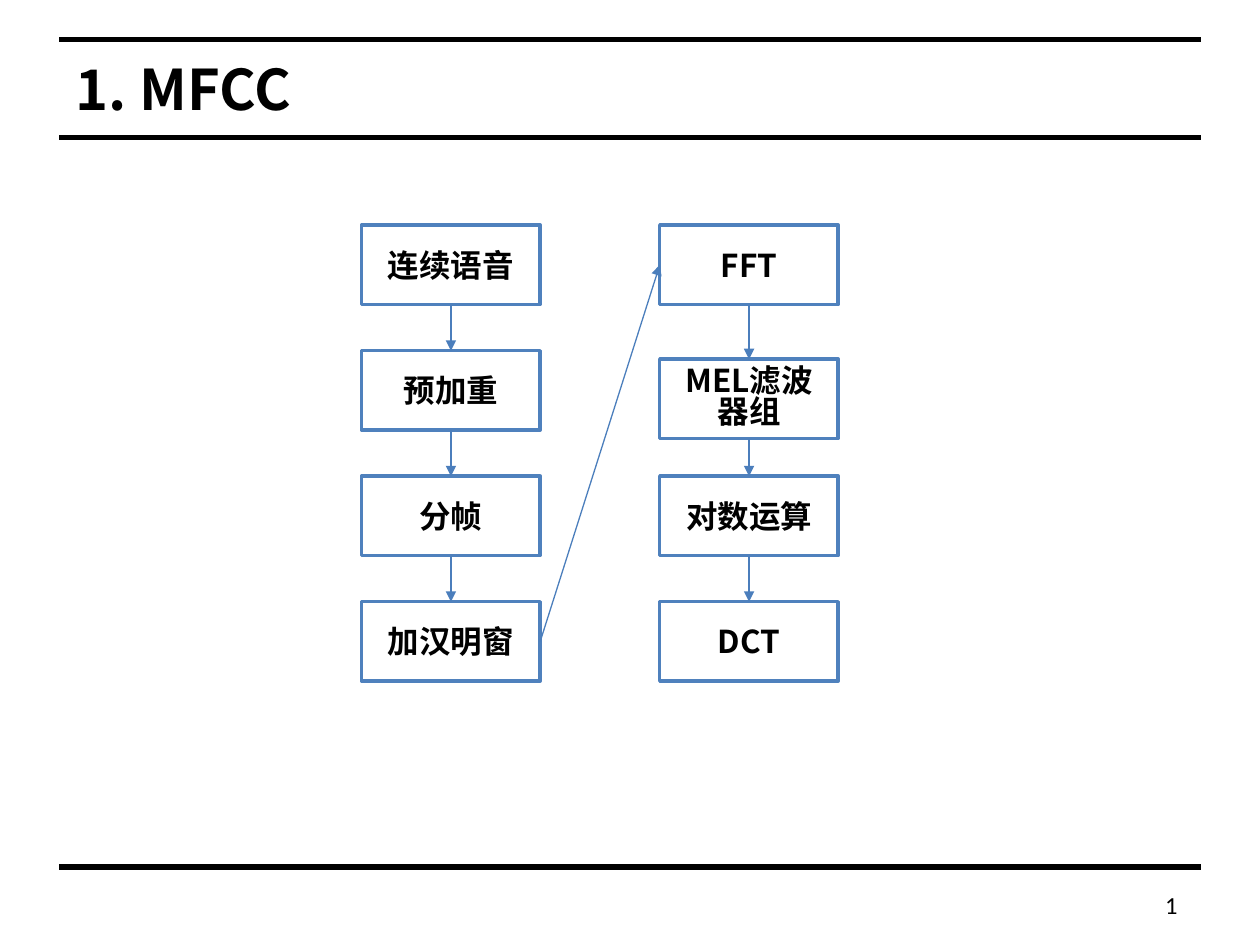
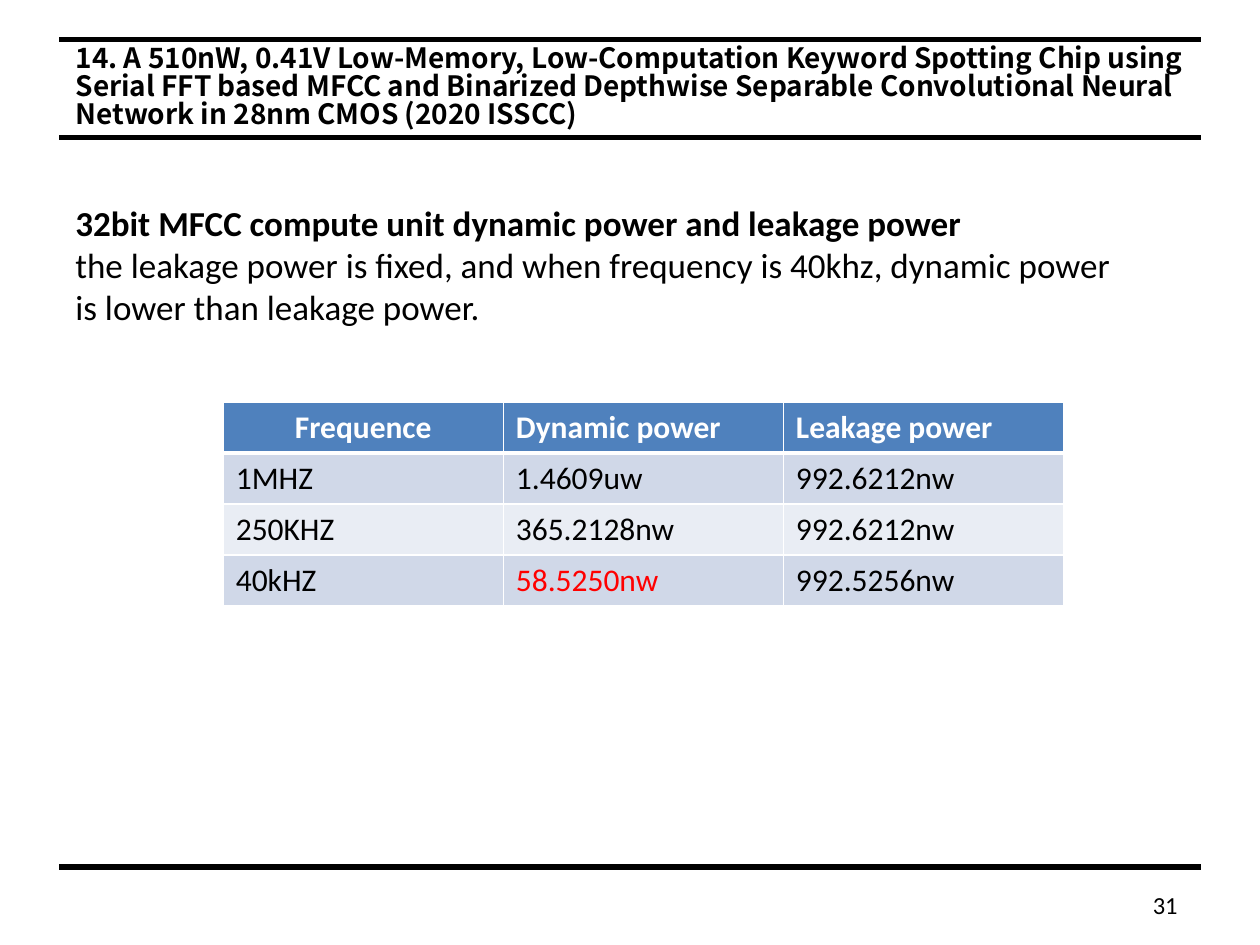
from lxml import etree
from pptx import Presentation
from pptx.dml.color import RGBColor
from pptx.enum import shapes, text
from pptx.oxml import parse_xml
from pptx.oxml.ns import nsdecls, qn
from pptx.util import Cm, Pt

COLORS = {
    "ink": "000000",
    "paper": "FFFFFF",
    "blue": "4F81BD",
    "arrow": "4B7EBC",
    "band_dark": "D0D8E8",
    "band_light": "E9EDF4",
    "alert": "FF0000",
}
HEADING_FONT = "Noto Sans CJK SC"
BODY_FONT = "Calibri"
TIGHT = 0.83

RULE_LEFT, RULE_RIGHT = 1.19, 24.21
RULE_TOPS = (0.79, 2.77, 17.48)

BOX_WIDTH, BOX_HEIGHT = 3.6, 1.6
TOP, BOTTOM, RIGHT, LEFT = 0, 2, 3, 1  # connection sites of a rectangle


def rgb(name):
    return RGBColor.from_string(COLORS[name])


def write(paragraph, content, size=18, font=BODY_FONT, color="ink", bold=False,
          align=text.PP_ALIGN.LEFT, spacing=None):
    paragraph.alignment = align
    if spacing:
        paragraph.line_spacing = spacing
    run = paragraph.add_run()
    run.text = content
    run.font.size = Pt(size)
    run.font.name = font
    run.font.bold = bold
    run.font.color.rgb = rgb(color)
    # East Asian characters take their font from a separate element
    etree.SubElement(run._r.get_or_add_rPr(), qn("a:ea"), typeface=font)


def add_line(slide, color, width, start=(0, 0), end=(0, 0)):
    line = slide.shapes.add_connector(
        shapes.MSO_CONNECTOR.STRAIGHT, *(Cm(value) for value in (*start, *end)))
    line.line.color.rgb = rgb(color)
    line.line.width = Pt(width)
    etree.SubElement(line._element.spPr, qn("a:effectLst"))
    return line


def add_arrow(slide, source, source_site, target, target_site):
    arrow = add_line(slide, "arrow", 0.75)
    arrow.begin_connect(source, source_site)
    arrow.end_connect(target, target_site)
    etree.SubElement(arrow.line._get_or_add_ln(), qn("a:tailEnd"), type="triangle")


def add_text_box(slide, left, top, width, height):
    box = slide.shapes.add_textbox(Cm(left), Cm(top), Cm(width), Cm(height))
    box.text_frame.word_wrap = True
    return box.text_frame


def add_framed_slide(presentation, title, number, title_size, title_spacing=None):
    """Add a slide with its title, three rules and page number."""
    slide = presentation.slides.add_slide(presentation.slide_layouts[5])
    for top in RULE_TOPS:
        add_line(slide, "ink", 3, (RULE_LEFT, top), (RULE_RIGHT, top))

    placeholder = slide.shapes.title
    placeholder.left, placeholder.top = Cm(1.27), Cm(0.77)
    placeholder.width, placeholder.height = Cm(22.86), Cm(2)
    frame = placeholder.text_frame
    frame.auto_size = text.MSO_AUTO_SIZE.NONE
    frame.vertical_anchor = text.MSO_ANCHOR.MIDDLE
    write(frame.paragraphs[0], title, size=title_size, font=HEADING_FONT,
          bold=True, spacing=title_spacing)

    footer = add_text_box(slide, RULE_LEFT, 17.81, 22.8, 0.86)
    write(footer.paragraphs[0], str(number), size=14, align=text.PP_ALIGN.RIGHT)
    return slide


def add_step(slide, label, left, top, spacing=None):
    box = slide.shapes.add_shape(shapes.MSO_SHAPE.RECTANGLE, Cm(left), Cm(top),
                                 Cm(BOX_WIDTH), Cm(BOX_HEIGHT))
    box.shadow.inherit = False
    box.fill.solid()
    box.fill.fore_color.rgb = rgb("paper")
    box.line.color.rgb = rgb("blue")
    box.line.width = Pt(2)
    box.text_frame.vertical_anchor = text.MSO_ANCHOR.MIDDLE
    write(box.text_frame.paragraphs[0], label, font=HEADING_FONT, bold=True,
          align=text.PP_ALIGN.CENTER, spacing=spacing)
    return box


def add_step_column(slide, left, steps):
    """Stack (label, top, line spacing) steps and join them downwards."""
    boxes = [add_step(slide, label, left, top, spacing)
             for label, top, spacing in steps]
    for upper, lower in zip(boxes, boxes[1:]):
        add_arrow(slide, upper, BOTTOM, lower, TOP)
    return boxes


def set_borders(cell, bottom=1):
    properties = cell._tc.get_or_add_tcPr()
    widths = {"lnL": 1, "lnR": 1, "lnT": 1, "lnB": bottom}
    for position, (side, width) in enumerate(widths.items()):
        properties.insert(position, parse_xml(
            f'<a:{side} {nsdecls("a")} w="{Pt(width)}"><a:solidFill>'
            f'<a:srgbClr val="{COLORS["paper"]}"/></a:solidFill></a:{side}>'))


def add_power_table(slide, rows, highlight):
    """Draw the header row and banded rows; highlight is a value shown in red."""
    table = slide.shapes.add_table(len(rows), len(rows[0]), Cm(4.5), Cm(8.1),
                                   Cm(16.94), Cm(4.12)).table
    for row_index, values in enumerate(rows):
        header = row_index == 0
        band = "blue" if header else "band_dark" if row_index % 2 else "band_light"
        for column_index, value in enumerate(values):
            cell = table.cell(row_index, column_index)
            cell.fill.solid()
            cell.fill.fore_color.rgb = rgb(band)
            set_borders(cell, bottom=3 if header else 1)
            color = "paper" if header else "alert" if value == highlight else "ink"
            centred = header and column_index == 0
            write(cell.text_frame.paragraphs[0], value, color=color, bold=header,
                  align=text.PP_ALIGN.CENTER if centred else text.PP_ALIGN.LEFT)


def build_mfcc_slide(presentation):
    slide = add_framed_slide(presentation, "1. MFCC", 1, title_size=32)
    tops = [4.54 + 2.53 * row for row in range(4)]
    left_labels = ("连续语音", "预加重", "分帧", "加汉明窗")
    left_boxes = add_step_column(
        slide, 7.29, [(label, top, None) for label, top in zip(left_labels, tops)])
    right_boxes = add_step_column(slide, 13.3, [
        ("FFT", tops[0], None),
        ("MEL滤波器组", 7.24, TIGHT),
        ("对数运算", tops[2], None),
        ("DCT", tops[3], None),
    ])
    add_arrow(slide, left_boxes[-1], RIGHT, right_boxes[0], LEFT)


def build_power_slide(presentation):
    slide = add_framed_slide(
        presentation,
        "14. A 510nW, 0.41V Low-Memory, Low-Computation Keyword Spotting Chip "
        "using Serial FFT based MFCC and Binarized Depthwise Separable "
        "Convolutional Neural Network in 28nm CMOS (2020 ISSCC)",
        31, title_size=16, title_spacing=TIGHT)
    summary = add_text_box(slide, 1.27, 3.94, 21.59, 2.82)
    write(summary.paragraphs[0],
          "32bit MFCC compute unit dynamic power and leakage power",
          size=20, bold=True)
    write(summary.add_paragraph(),
          "the leakage power is fixed, and when frequency is 40khz, "
          "dynamic power is lower than leakage power.", size=20)
    add_power_table(slide, [
        ("Frequence", "Dynamic power", "Leakage power"),
        ("1MHZ", "1.4609uw", "992.6212nw"),
        ("250KHZ", "365.2128nw", "992.6212nw"),
        ("40kHZ", "58.5250nw", "992.5256nw"),
    ], highlight="58.5250nw")


def main():
    presentation = Presentation()
    presentation.slide_width, presentation.slide_height = Cm(25.4), Cm(19.05)
    build_mfcc_slide(presentation)
    build_power_slide(presentation)
    presentation.save("out.pptx")


if __name__ == "__main__":
    main()
